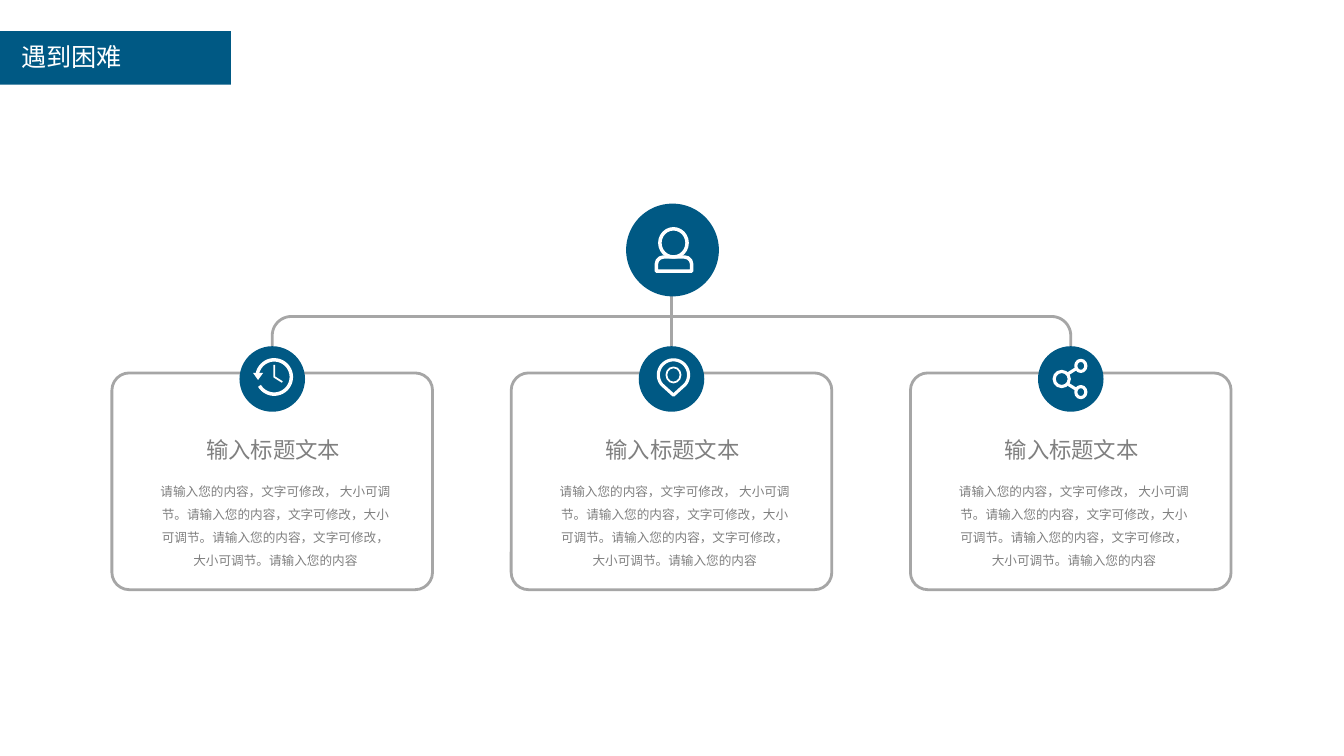
from math import cos, radians, sin

from lxml import etree
from pptx import Presentation
from pptx.dml.color import RGBColor
from pptx.enum import shapes, text
from pptx.oxml.ns import qn
from pptx.util import Inches, Pt

FONT = "Noto Sans CJK SC"
BLUE, GREY, TEXT_GREY, WHITE = "005984", "A6A6A6", "808080", "FFFFFF"
PRESET = shapes.MSO_SHAPE

TITLE = "遇到困难"
BODY = ("请输入您的内容，文字可修改， 大小可调节。请输入您的内容，文字可修改，大小可调节。"
        "请输入您的内容，文字可修改， 大小可调节。请输入您的内容")
CARDS = [("输入标题文本", BODY, "clock"),
         ("输入标题文本", BODY, "pin"),
         ("输入标题文本", BODY, "share")]

FIRST_X, PITCH = 2.7, 3.96
CENTERS = [FIRST_X + i * PITCH for i in range(len(CARDS))]
MID_X = CENTERS[1]
CARD_W, CARD_H, CARD_Y = 3.18, 2.15, 3.7
DISC, DISC_Y = 0.65, 3.76
HUB, HUB_Y = 0.92, 2.48
BRANCH_Y, BRANCH_R = 3.14, 0.19

prs = Presentation()
prs.slide_width, prs.slide_height = Inches(13.33), Inches(7.5)
s = prs.slides.add_slide(prs.slide_layouts[5])


def rgb(color):
    return RGBColor.from_string(color)


def paint(sp, fill=None, line=None, width=2):
    sp.shadow.inherit = False
    if fill:
        sp.fill.solid()
        sp.fill.fore_color.rgb = rgb(fill)
    else:
        sp.fill.background()
    if line:
        sp.line.color.rgb = rgb(line)
        sp.line.width = Pt(width)
    else:
        sp.line.fill.background()
    return sp


def preset(kind, x, y, w, h, **look):
    sp = s.shapes.add_shape(kind, Inches(x), Inches(y), Inches(w), Inches(h))
    return paint(sp, **look)


def ellipse(cx, cy, w, h, **look):
    return preset(PRESET.OVAL, cx - w / 2, cy - h / 2, w, h, **look)


def outline(points, close=False, **look):
    pts = [(Inches(x), Inches(y)) for x, y in points]
    builder = s.shapes.build_freeform(*pts[0])
    builder.add_line_segments(pts[1:], close=close)
    return paint(builder.convert_to_shape(), **look)


def arc(cx, cy, r, start, end, steps=40):
    """Points on a circle; angles in degrees, clockwise from the right."""
    angles = [radians(start + (end - start) * i / steps) for i in range(steps + 1)]
    return [(cx + r * cos(a), cy + r * sin(a)) for a in angles]


def connect(x1, y1, x2, y2, color, width):
    c = s.shapes.add_connector(shapes.MSO_CONNECTOR.STRAIGHT,
                               Inches(x1), Inches(y1), Inches(x2), Inches(y2))
    c.line.color.rgb = rgb(color)
    c.line.width = Pt(width)
    etree.SubElement(c._element.spPr, qn("a:effectLst"))


def write(sp, words, size, color, align, spacing=None):
    tf = sp.text_frame
    tf.text = words
    tf.word_wrap = True
    tf.auto_size = text.MSO_AUTO_SIZE.NONE
    tf.vertical_anchor = text.MSO_ANCHOR.TOP
    p = tf.paragraphs[0]
    p.alignment = align
    if spacing:
        p.line_spacing = spacing
    r = p.runs[0]
    r.font.size, r.font.name = Pt(size), FONT
    r.font.color.rgb = rgb(color)
    etree.SubElement(r.font._element, qn("a:ea")).set("typeface", FONT)


def label(cx, y, w, h, words, size, spacing=None):
    sp = s.shapes.add_textbox(Inches(cx - w / 2), Inches(y), Inches(w), Inches(h))
    tf = sp.text_frame
    tf.margin_left = tf.margin_right = tf.margin_top = tf.margin_bottom = 0
    write(sp, words, size, TEXT_GREY, text.PP_ALIGN.CENTER, spacing)


def draw_person(x, y):
    ellipse(x + 0.02, y - 0.07, 0.27, 0.28, line=WHITE, width=2.5)
    body = preset(PRESET.ROUND_2_SAME_RECTANGLE, x - 0.15, y + 0.07, 0.35, 0.14,
                  line=WHITE, width=2.5)
    body.adjustments[0] = 0.5


def draw_clock(x, y):
    outline(arc(x + 0.02, y - 0.02, 0.17, 192, 509), line=WHITE, width=2.5)
    outline([(x - 0.19, y - 0.06), (x - 0.09, y - 0.06), (x - 0.14, y + 0.01)],
            close=True, fill=WHITE)
    outline([(x + 0.02, y - 0.14), (x + 0.02, y - 0.02), (x + 0.1, y + 0.03)],
            line=WHITE, width=1.25)


def draw_pin(x, y):
    rim = arc(x + 0.02, y - 0.04, 0.15, 140, 400)
    outline(rim + [(x + 0.02, y + 0.16)], close=True, line=WHITE, width=2.25)
    ellipse(x + 0.02, y - 0.04, 0.14, 0.15, line=WHITE, width=1.25)


def draw_share(x, y):
    ellipse(x - 0.09, y, 0.15, 0.15, line=WHITE, width=2.25)
    for side in (-1, 1):
        ellipse(x + 0.1, y + side * 0.13, 0.1, 0.11, line=WHITE, width=2.25)
        connect(x - 0.03, y + side * 0.05, x + 0.05, y + side * 0.1, WHITE, 2.25)


ICONS = {"clock": draw_clock, "pin": draw_pin, "share": draw_share}

# Title bar
bar = preset(PRESET.RECTANGLE, 0, 0.31, 2.29, 0.53, fill=BLUE)
title = s.shapes.title
title.left, title.top, title.width, title.height = map(Inches, (0.11, 0.36, 2.17, 0.43))
write(title, TITLE, 18, WHITE, text.PP_ALIGN.LEFT)
title._element.addprevious(bar._element)

# Branches from the hub to the cards
left, right = CENTERS[0], CENTERS[-1]
corner_y = BRANCH_Y + BRANCH_R
outline([(left, CARD_Y)]
        + arc(left + BRANCH_R, corner_y, BRANCH_R, 180, 270, 12)
        + arc(right - BRANCH_R, corner_y, BRANCH_R, 270, 360, 12)
        + [(right, CARD_Y)], line=GREY)
connect(MID_X, HUB_Y, MID_X, CARD_Y, GREY, 2)
ellipse(MID_X + 0.01, HUB_Y, HUB, HUB, fill=BLUE)
draw_person(MID_X, HUB_Y)

# Cards
for cx, (heading, body, icon) in zip(CENTERS, CARDS):
    card = preset(PRESET.ROUNDED_RECTANGLE, cx - CARD_W / 2, CARD_Y, CARD_W, CARD_H, line=GREY)
    card.adjustments[0] = 0.08
    ellipse(cx, DISC_Y, DISC, DISC, fill=BLUE)
    ICONS[icon](cx, DISC_Y)
    label(cx + 0.01, 4.33, 1.73, 0.27, heading, 16)
    label(cx + 0.03, 4.73, 2.28, 0.91, body, 9, 1.5)

prs.save("out.pptx")
